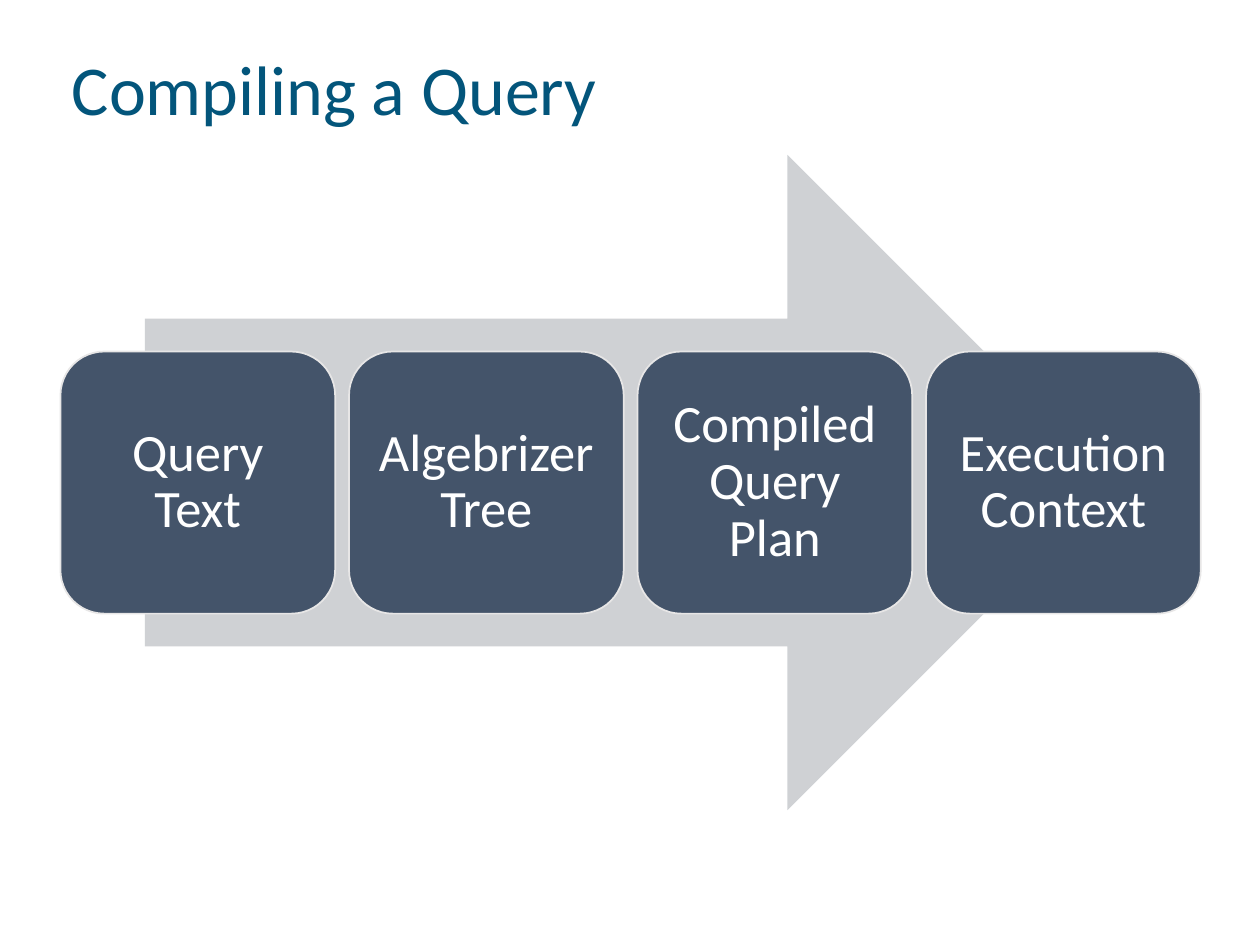
from dataclasses import dataclass

import pptx
import pptx.dml.color
import pptx.enum.shapes
import pptx.enum.text
import pptx.util

Inches = pptx.util.Inches
Pt = pptx.util.Pt
ShapeType = pptx.enum.shapes.MSO_SHAPE
Align = pptx.enum.text.PP_ALIGN
Anchor = pptx.enum.text.MSO_ANCHOR

FONT = "Calibri"
STAGES = ["Query Text", "Algebrizer Tree", "Compiled Query Plan", "Execution Context"]
STAGE_LEFT, STAGE_TOP = 0.48, 2.79
STAGE_WIDTH, STAGE_HEIGHT = 2.18, 2.08
STAGE_PITCH = 2.29


@dataclass
class Box:
    left: float
    top: float
    width: float
    height: float

    def lengths(self) -> list:
        return [Inches(value) for value in (self.left, self.top, self.width, self.height)]


def set_color(color_format, value: str) -> None:
    color_format.rgb = pptx.dml.color.RGBColor.from_string(value)


def write_text(shape, text: str, size: int, color: str, alignment) -> None:
    frame = shape.text_frame
    frame.word_wrap = True
    frame.auto_size = pptx.enum.text.MSO_AUTO_SIZE.NONE
    frame.vertical_anchor = Anchor.MIDDLE
    paragraph = frame.paragraphs[0]
    paragraph.alignment = alignment
    paragraph.line_spacing = 0.9
    run = paragraph.add_run()
    run.text = text
    run.font.name = FONT
    run.font.size = Pt(size)
    set_color(run.font.color, color)


def add_filled_shape(slide, kind, box: Box, fill: str):
    shape = slide.shapes.add_shape(kind, *box.lengths())
    shape.shadow.inherit = False
    shape.fill.solid()
    set_color(shape.fill.fore_color, fill)
    shape.line.fill.background()
    return shape


def add_stage(slide, text: str, box: Box) -> None:
    shape = add_filled_shape(slide, ShapeType.ROUNDED_RECTANGLE, box, "44546A")
    set_color(shape.line.color, "E7E6E6")
    shape.line.width = Pt(1)
    frame = shape.text_frame
    frame.margin_left = frame.margin_right = Inches(0.12)
    frame.margin_top = frame.margin_bottom = Inches(0.12)
    write_text(shape, text, 30, "FFFFFF", Align.CENTER)


def main() -> None:
    presentation = pptx.Presentation()
    presentation.slide_width = Inches(10)
    presentation.slide_height = Inches(7.5)
    slide = presentation.slides.add_slide(presentation.slide_layouts[5])

    title = slide.shapes.title
    title.left, title.top, title.width, title.height = Box(0.47, 0.39, 9.06, 0.7).lengths()
    write_text(title, "Compiling a Query", 40, "03557B", Align.LEFT)

    add_filled_shape(slide, ShapeType.RIGHT_ARROW, Box(1.15, 1.23, 7.7, 5.2), "CFD1D4")
    for index, text in enumerate(STAGES):
        left = STAGE_LEFT + index * STAGE_PITCH
        add_stage(slide, text, Box(left, STAGE_TOP, STAGE_WIDTH, STAGE_HEIGHT))

    presentation.save("out.pptx")


if __name__ == "__main__":
    main()
